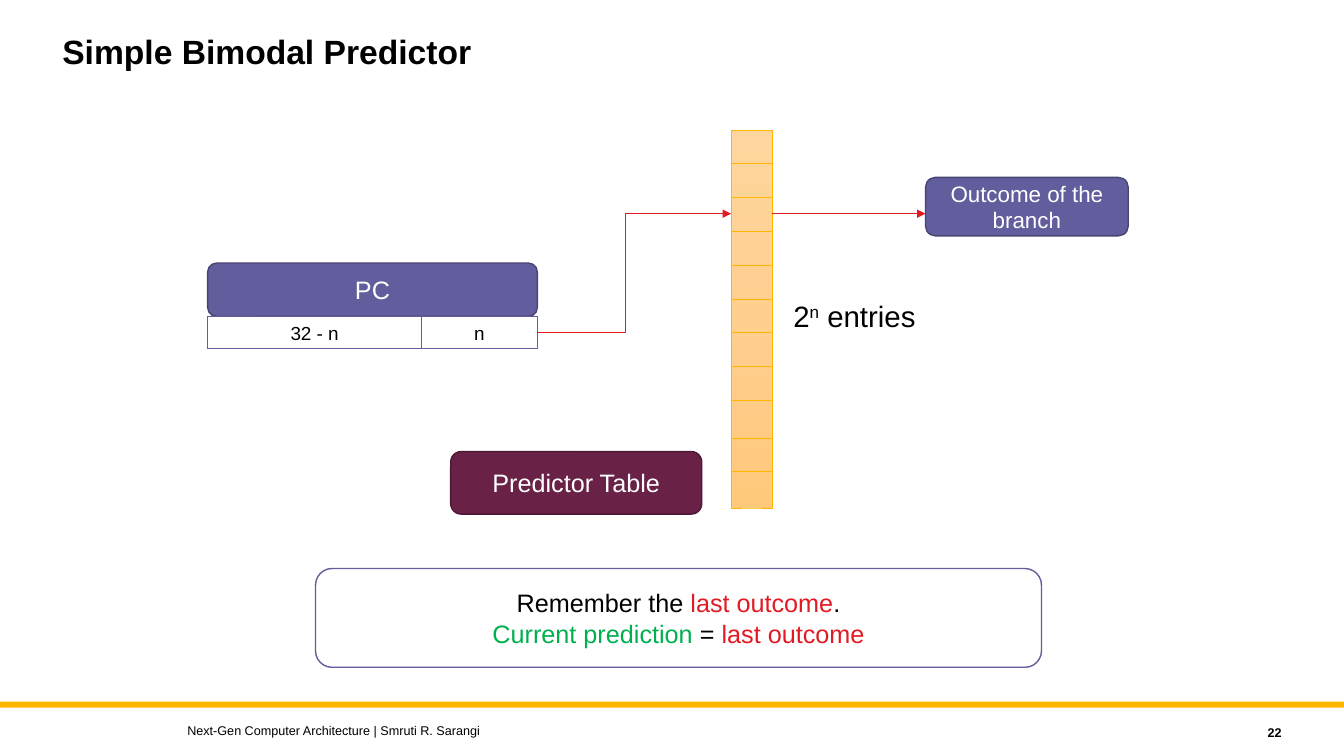
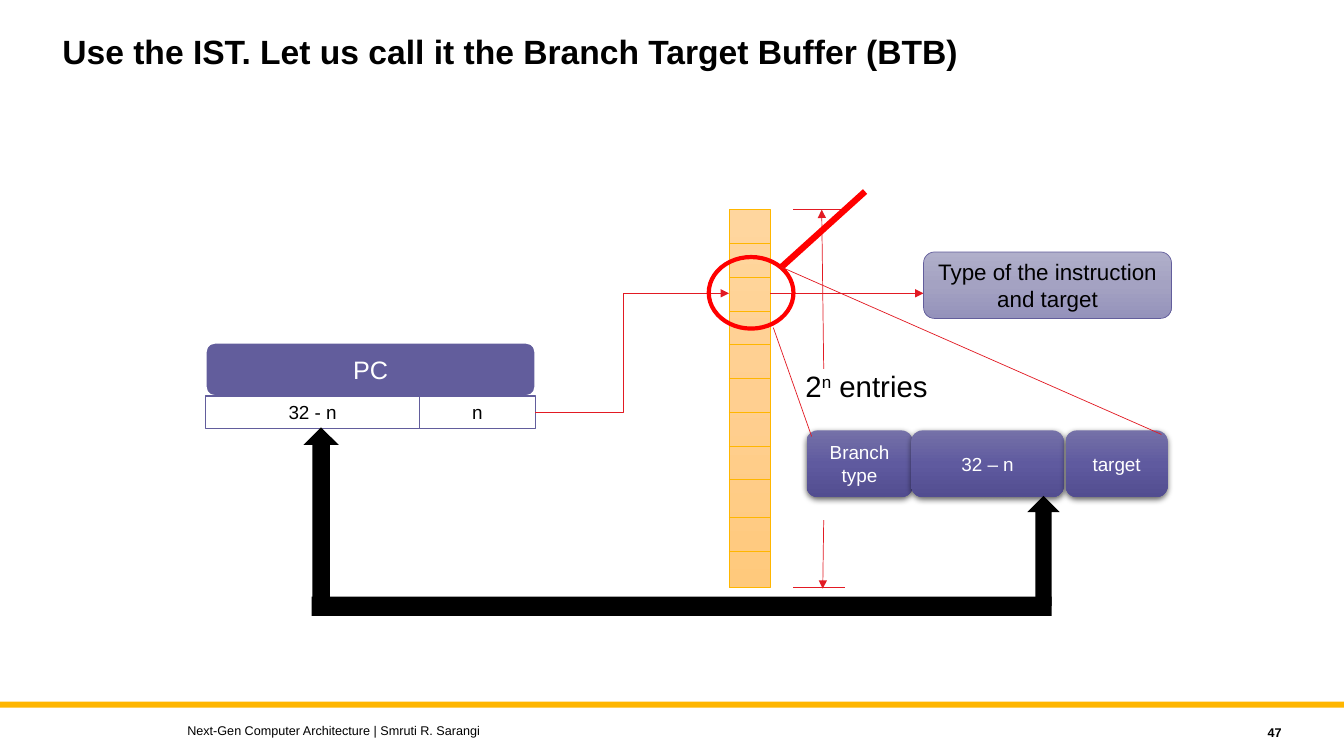
"""Build two slides on branch prediction: the bimodal predictor and the branch target buffer."""
from copy import deepcopy

from lxml import etree
from pptx import Presentation
from pptx.dml.color import RGBColor
from pptx.enum.shapes import MSO_CONNECTOR, MSO_SHAPE
from pptx.enum.text import MSO_ANCHOR, PP_ALIGN
from pptx.oxml.ns import qn
from pptx.util import Inches, Pt

RECT = MSO_SHAPE.RECTANGLE
ROUNDED = MSO_SHAPE.ROUNDED_RECTANGLE
OVAL = MSO_SHAPE.OVAL
UP_ARROW = MSO_SHAPE.UP_ARROW
STRAIGHT = MSO_CONNECTOR.STRAIGHT
ELBOW = MSO_CONNECTOR.ELBOW
LEFT, CENTER, RIGHT = PP_ALIGN.LEFT, PP_ALIGN.CENTER, PP_ALIGN.RIGHT
TOP, MIDDLE = MSO_ANCHOR.TOP, MSO_ANCHOR.MIDDLE

FONT = "Arial"
BLACK, WHITE = "000000", "FFFFFF"
PURPLE, PURPLE_EDGE = "625D9C", "494573"
PLUM, PLUM_EDGE = "692146", "4E1834"
AMBER, RED, BRIGHT_RED, GREEN = "FFB600", "E21A23", "FF0000", "00B050"
TABLE_SHADES = ("FFD69E", "FFCF90", "FFC97C")
RESULT_SHADES = ("B0AFCA", "A4A2C2", "9492BB")
FIELD_SHADES = ("7571A8", "5F5A9F", "524D90")
FOOTER = "Next-Gen Computer Architecture | Smruti R. Sarangi"


def add_block(slide, kind, box, text="", size=18, color=BLACK, fill=None, line=None,
              width=1, align=CENTER, anchor=MIDDLE, bold=False, wrap=True):
    """Add a shape, or a text box when kind is None, with uniform text."""
    place = [Inches(value) for value in box]
    if kind is None:
        block = slide.shapes.add_textbox(*place)
    else:
        block = slide.shapes.add_shape(kind, *place)
        block.shadow.inherit = False
        if fill is None:
            block.fill.background()
        elif isinstance(fill, str):
            block.fill.solid()
            block.fill.fore_color.rgb = RGBColor.from_string(fill)
        else:
            block.fill.gradient()
            block.fill.gradient_angle = 270
            stops = block._element.spPr.find(qn("a:gradFill")).find(qn("a:gsLst"))
            stops.insert(1, deepcopy(stops[0]))
            for index, stop in enumerate(block.fill.gradient_stops):
                stop.position = index / 2
                stop.color.rgb = RGBColor.from_string(fill[index])
        if line:
            block.line.color.rgb = RGBColor.from_string(line)
            block.line.width = Pt(width)
        else:
            block.line.fill.background()
    frame = block.text_frame
    frame.word_wrap = wrap
    frame.vertical_anchor = anchor
    frame.text = text
    for paragraph in frame.paragraphs:
        paragraph.alignment = align
        for run in paragraph.runs:
            run.font.name = FONT
            run.font.size = Pt(size)
            run.font.bold = bold
            run.font.color.rgb = RGBColor.from_string(color)
    return block


def add_line(slide, start, end, color=RED, width=0.5, arrow=False, kind=STRAIGHT):
    """Add a connector without shadow, with an optional arrowhead at its end."""
    line = slide.shapes.add_connector(kind, *[Inches(value) for value in (*start, *end)])
    line.line.color.rgb = RGBColor.from_string(color)
    line.line.width = Pt(width)
    if arrow:
        etree.SubElement(line.line._get_or_add_ln(), qn("a:tailEnd"), type="triangle")
    etree.SubElement(line._element.spPr, qn("a:effectLst"))
    return line


deck = Presentation()
deck.slide_width, deck.slide_height = Inches(13.33), Inches(7.5)
slides = []

for title, number, left, top, entries_at, pc_edge, pc_width in (
    ("Simple Bimodal Predictor", "22", 2.06, 1.29, (7.77, 2.91), PURPLE_EDGE, 1),
    ("Use the IST. Let us call it the Branch Target Buffer (BTB)", "47",
     2.04, 2.08, (7.89, 3.6), WHITE, 1.5),
):
    slide = deck.slides.add_slide(deck.slide_layouts[6])
    slides.append(slide)
    add_block(slide, RECT, (0, 6.96, 13.33, 0.06), fill=AMBER)
    heading = add_block(slide, None, (0.52, 0.3, 10, 0.9), title, 24, align=LEFT,
                        anchor=TOP, bold=True)
    heading.text_frame.paragraphs[0].line_spacing = 0.9
    add_block(slide, None, (1.76, 7.12, 8, 0.25), FOOTER, 9, align=LEFT)
    add_block(slide, None, (11.41, 7.14, 1.4, 0.25), number, 9, align=RIGHT, bold=True)

    add_block(slide, ROUNDED, (left, top + 1.32, 3.27, 0.53), "PC", 18, WHITE,
              PURPLE, pc_edge, pc_width)
    add_block(slide, RECT, (left, top + 1.85, 2.12, 0.32), "32 - n", 13.5,
              fill=WHITE, line=PURPLE)
    index_bits = add_block(slide, RECT, (left + 2.12, top + 1.85, 1.15, 0.32), "n", 13.5,
                           fill=WHITE, line=PURPLE)

    table_left, table_right = left + 5.19, left + 5.6
    add_block(slide, RECT, (table_left, top, 0.41, 3.75), fill=TABLE_SHADES,
              line=AMBER, width=0.5)
    for row in range(1, 11):
        y = top + 0.335 * row + (0.04 if row > 8 else 0)
        add_line(slide, (table_left, y), (table_right, y), AMBER)

    entry_y = top + 0.83
    lookup = add_line(slide, (left + 3.27, top + 2.01), (table_left, entry_y),
                      arrow=True, kind=ELBOW)
    lookup.begin_connect(index_bits, 3)
    bend = lookup._element.spPr.find(qn("a:prstGeom")).get_or_add_avLst()
    etree.SubElement(bend, qn("a:gd"), name="adj1", fmla="val 45500")
    add_line(slide, (table_right, entry_y), (left + 7.12, entry_y), arrow=True)

    entries = add_block(slide, None, (*entries_at, 1.44, 0.45), "2", 21, align=LEFT,
                        anchor=TOP, wrap=False)
    for part, baseline in (("n", "30000"), (" entries", "0")):
        run = entries.text_frame.paragraphs[0].add_run()
        run.text = part
        run.font.name = FONT
        run.font.size = Pt(21)
        run.font.color.rgb = RGBColor.from_string(BLACK)
        run.font._element.set("baseline", baseline)

predictor, btb = slides

add_block(predictor, ROUNDED, (9.18, 1.76, 2.01, 0.58), "Outcome of the branch", 16,
          WHITE, PURPLE, PURPLE_EDGE)
add_block(predictor, ROUNDED, (4.47, 4.48, 2.49, 0.62), "Predictor Table", 18,
          WHITE, PLUM, PLUM_EDGE)
summary = add_block(predictor, ROUNDED, (3.13, 5.64, 7.2, 0.98), fill=WHITE, line=PURPLE)
summary.text_frame.add_paragraph()
summary_lines = (
    (("Remember the ", BLACK), ("last outcome", RED), (".", BLACK)),
    (("Current prediction ", GREEN), ("= ", BLACK), ("last outcome", RED)),
)
for paragraph, parts in zip(summary.text_frame.paragraphs, summary_lines):
    paragraph.alignment = CENTER
    for part, color in parts:
        run = paragraph.add_run()
        run.text = part
        run.font.name = FONT
        run.font.size = Pt(18)
        run.font.color.rgb = RGBColor.from_string(color)

add_block(btb, ROUNDED, (9.16, 2.5, 2.46, 0.66), "Type of the instruction\nand target", 16,
          fill=RESULT_SHADES, line=PURPLE, width=0.5)
for y in (2.08, 5.83):
    add_line(btb, (7.87, y), (8.38, y))
add_line(btb, (8.17, 3.66), (8.15, 2.08), arrow=True)
add_line(btb, (8.17, 5.16), (8.16, 5.84), arrow=True)
add_block(btb, OVAL, (7.03, 2.55, 0.84, 0.71), line=BRIGHT_RED, width=3)
add_line(btb, (7.75, 2.65), (8.58, 1.9), BRIGHT_RED, 4.5)

for field, x, width in (("Branch type", 8, 1.05), ("32 – n", 9.04, 1.51),
                        ("target", 10.57, 1.01)):
    block = add_block(btb, ROUNDED, (x, 4.27, width, 0.66), field, 13.5, WHITE, FIELD_SHADES)
    effects = block._element.spPr.find(qn("a:effectLst"))
    shadow = etree.SubElement(effects, qn("a:outerShdw"), blurRad=str(Pt(4.5)),
                              dist=str(Pt(1.5)), dir="5400000", algn="ctr", rotWithShape="0")
    shade = etree.SubElement(shadow, qn("a:srgbClr"), val=BLACK)
    etree.SubElement(shade, qn("a:alpha"), val="63000")

add_line(btb, (7.75, 2.65), (11.52, 4.31))
add_line(btb, (7.67, 3.25), (8.05, 4.33))
add_block(btb, UP_ARROW, (3.01, 4.24, 0.35, 1.74), fill=BLACK)
add_block(btb, UP_ARROW, (10.19, 4.92, 0.32, 1.09), fill=BLACK)
add_block(btb, RECT, (3.09, 5.92, 7.34, 0.19), fill=BLACK)

deck.save("out.pptx")
